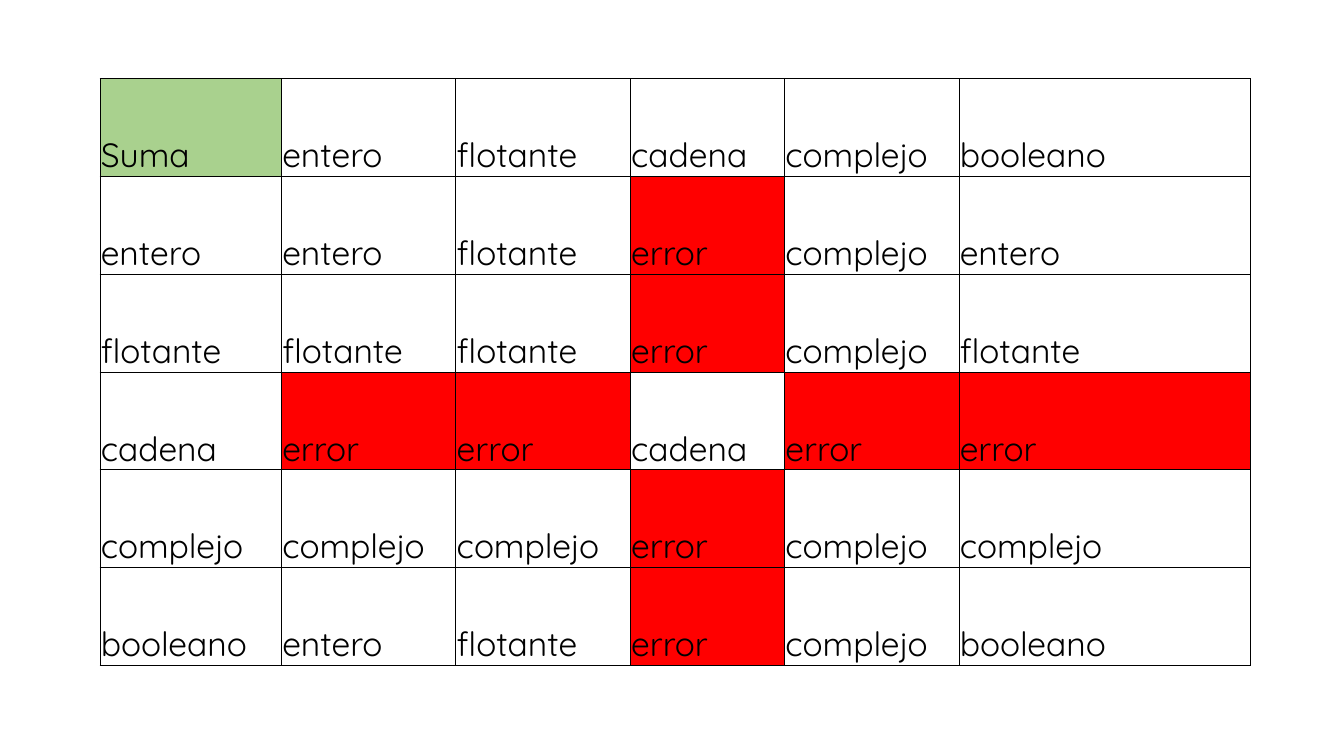
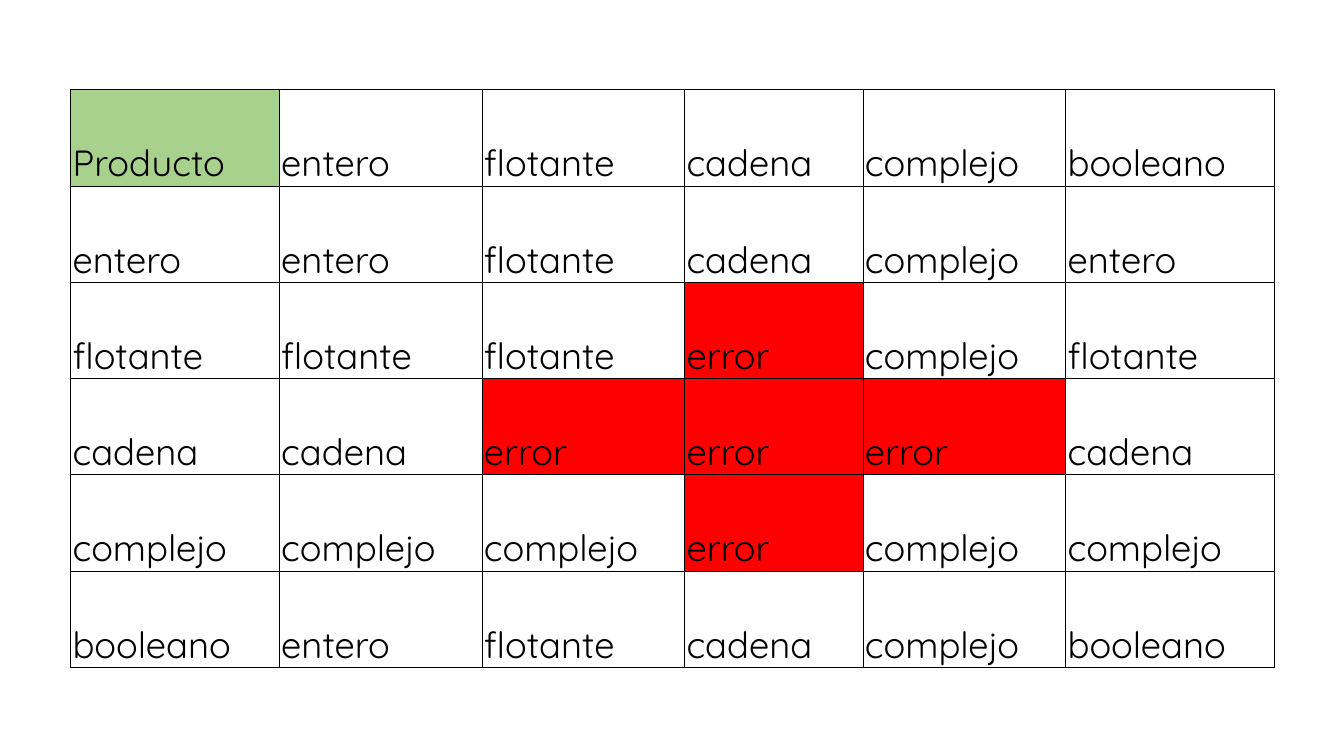
from lxml import etree
from pptx import Presentation
from pptx.dml.color import RGBColor
from pptx.enum import text
from pptx.oxml import ns
from pptx.util import Pt

PX = 9144  # EMU in one px, 100 px to the inch
SLIDE_WIDTH, SLIDE_HEIGHT = 1333, 750

BLACK = RGBColor(0x00, 0x00, 0x00)
GREEN = RGBColor(0xA9, 0xD1, 0x8E)
RED = RGBColor(0xFF, 0x00, 0x00)
FONT = "Quicksand"
BORDER_WIDTH = Pt(0.5)

TYPES = ["entero", "flotante", "cadena", "complejo", "booleano"]
ERROR = "error"

# Result type for each pair of operands, in the order of TYPES
SUM_RESULTS = [
    "entero flotante error complejo entero",
    "flotante flotante error complejo flotante",
    "error error cadena error error",
    "complejo complejo error complejo complejo",
    "entero flotante error complejo booleano",
]
PRODUCT_RESULTS = [
    "entero flotante cadena complejo entero",
    "flotante flotante error complejo flotante",
    "cadena error error error cadena",
    "complejo complejo error complejo complejo",
    "entero flotante cadena complejo booleano",
]


def add_borders(cell):
    properties = cell._tc.get_or_add_tcPr()
    for side in ("a:lnL", "a:lnR", "a:lnT", "a:lnB"):
        line = etree.SubElement(properties, ns.qn(side), w=str(BORDER_WIDTH))
        fill = etree.SubElement(line, ns.qn("a:solidFill"))
        etree.SubElement(fill, ns.qn("a:srgbClr"), val=str(BLACK))


def fill_cell(cell, words, color, size, inset):
    add_borders(cell)
    if color is None:
        cell.fill.background()
    else:
        cell.fill.solid()
        cell.fill.fore_color.rgb = color
    cell.vertical_anchor = text.MSO_ANCHOR.BOTTOM
    cell.margin_left = cell.margin_right = cell.margin_top = inset * PX
    cell.margin_bottom = 0
    run = cell.text_frame.paragraphs[0].add_run()
    run.text = words
    run.font.name = FONT
    run.font.size = Pt(size)
    run.font.color.rgb = BLACK


def add_operation_slide(presentation, operation, results, box, columns, size, inset):
    """Add a slide with the table of result types of one operation."""
    slide = presentation.slides.add_slide(presentation.slide_layouts[6])
    rows = [[operation] + TYPES]
    rows += [[name] + result.split() for name, result in zip(TYPES, results)]

    # Table grid
    left, top, height = box
    frame = slide.shapes.add_table(
        len(rows), len(columns), left * PX, top * PX, sum(columns) * PX, height * PX)
    table = frame.table
    table.first_row = table.horz_banding = False
    for column, width in zip(table.columns, columns):
        column.width = width * PX

    # Cells: operation in green, errors in red
    for row_index, row in enumerate(rows):
        for column_index, words in enumerate(row):
            color = {operation: GREEN, ERROR: RED}.get(words)
            fill_cell(table.cell(row_index, column_index), words, color, size, inset)


def main():
    presentation = Presentation()
    presentation.slide_width = SLIDE_WIDTH * PX
    presentation.slide_height = SLIDE_HEIGHT * PX
    add_operation_slide(presentation, "Suma", SUM_RESULTS, box=(99, 78, 582),
                        columns=[180, 173, 173, 153, 173, 289], size=24, inset=1)
    add_operation_slide(presentation, "Producto", PRODUCT_RESULTS, box=(70, 89, 573),
                        columns=[207, 201, 201, 177, 201, 207], size=26, inset=2)
    presentation.save("out.pptx")


if __name__ == "__main__":
    main()
